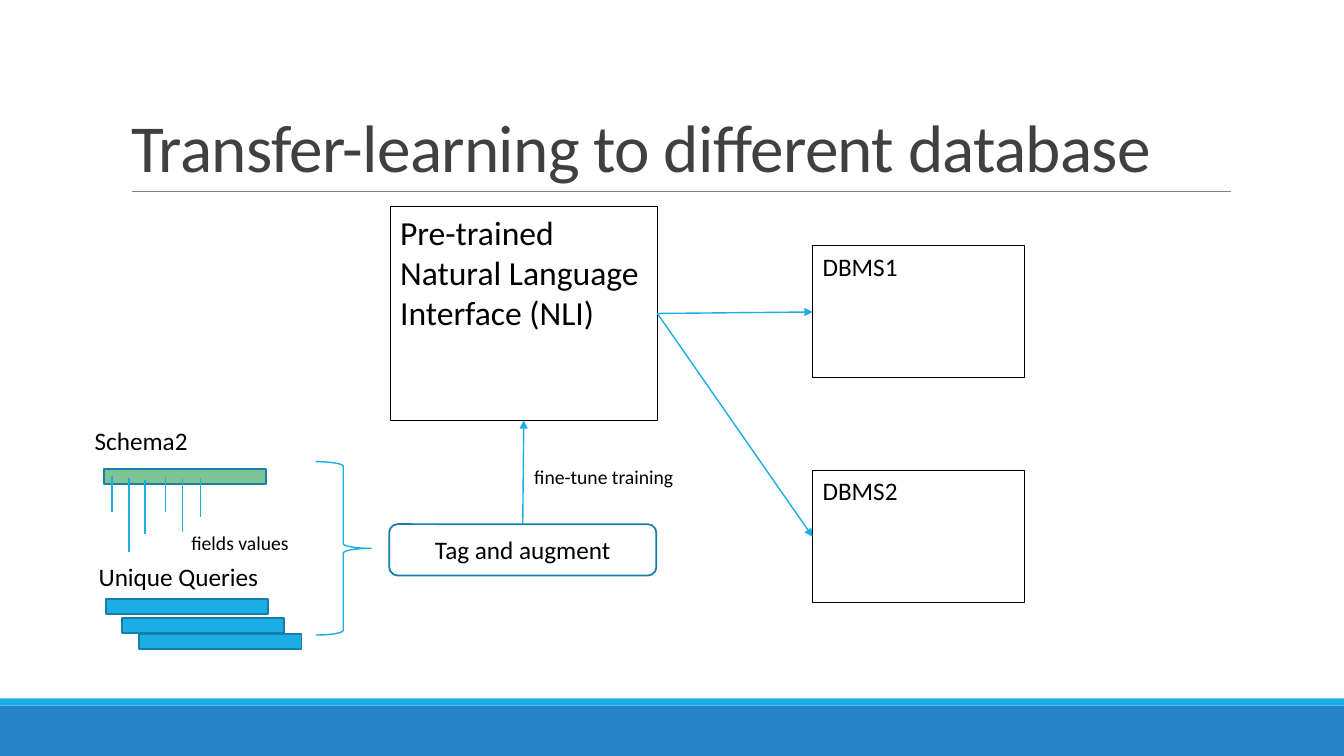
"""Build the slide about transfer-learning to a different database."""
import pptx
import pptx.dml.color
import pptx.enum.shapes
import pptx.enum.text
import pptx.oxml.ns
import pptx.util
from lxml import etree

PX = 9144
FONT = "Calibri"
BLACK, GREY, DARK_GREY = "000000", "808080", "404040"
SKY, BLUE, EDGE, GREEN = "1CADE4", "2683C6", "1580A9", "7EC492"
SHAPES = pptx.enum.shapes.MSO_SHAPE
ALIGN = pptx.enum.text.PP_ALIGN
ANCHOR = pptx.enum.text.MSO_ANCHOR


def px(*lengths):
    """Turn px lengths into a list of EMU lengths."""
    return [pptx.util.Emu(length * PX) for length in lengths]


def rgb(value):
    """Turn a hex string into a colour."""
    return pptx.dml.color.RGBColor.from_string(value)


def write(shape, text, size, color=BLACK, align=ALIGN.LEFT, anchor=ANCHOR.TOP, wrap=True):
    """Put one formatted paragraph into a shape."""
    frame = shape.text_frame
    frame.text = text
    frame.word_wrap = wrap
    frame.auto_size = pptx.enum.text.MSO_AUTO_SIZE.NONE
    frame.vertical_anchor = anchor
    paragraph = frame.paragraphs[0]
    paragraph.alignment = align
    font = paragraph.runs[0].font
    font.name, font.size = FONT, pptx.util.Pt(size)
    font.color.rgb = rgb(color)
    return paragraph


def add_title(slide, text):
    """Place and format the slide title."""
    title = slide.shapes.title
    title.left, title.top, title.width, title.height = px(120, 31, 1100, 159)
    paragraph = write(title, text, 48, DARK_GREY, anchor=ANCHOR.BOTTOM)
    paragraph.line_spacing = 0.85
    paragraph.runs[0].font._element.set("spc", "-50")


def add_box(slide, kind, box, fill=None, line=None, width=1.25):
    """Add a preset shape with an optional fill and outline."""
    shape = slide.shapes.add_shape(kind, *px(*box))
    shape.shadow.inherit = False
    if fill:
        shape.fill.solid()
        shape.fill.fore_color.rgb = rgb(fill)
    else:
        shape.fill.background()
    if line:
        shape.line.color.rgb = rgb(line)
        shape.line.width = pptx.util.Pt(width)
    else:
        shape.line.fill.background()
    return shape


def add_system(slide, box, text, size):
    """Add a thin black box with its name at the top left."""
    shape = add_box(slide, SHAPES.RECTANGLE, box, line=BLACK, width=0.75)
    write(shape, text, size)
    return shape


def add_label(slide, box, text, size, wrap=True):
    """Add a text box."""
    write(slide.shapes.add_textbox(*px(*box)), text, size, wrap=wrap)


def add_line(slide, ends, color=SKY, width=1):
    """Add a straight line without a shadow."""
    line = slide.shapes.add_connector(pptx.enum.shapes.MSO_CONNECTOR.STRAIGHT, *px(*ends))
    line.line.color.rgb = rgb(color)
    line.line.width = pptx.util.Pt(width)
    etree.SubElement(line._element.spPr, pptx.oxml.ns.qn("a:effectLst"))
    return line


def add_arrow(slide, source, source_side, target, target_side):
    """Join the sides of two shapes with an arrow."""
    arrow = add_line(slide, (0, 0, 0, 0))
    arrow.begin_connect(source, source_side)
    arrow.end_connect(target, target_side)
    etree.SubElement(arrow.line._ln, pptx.oxml.ns.qn("a:tailEnd"), type="triangle")


def main():
    """Build and save the slide."""
    presentation = pptx.Presentation()
    presentation.slide_width, presentation.slide_height = px(1333, 750)
    slide = presentation.slides.add_slide(presentation.slide_layouts[5])

    add_box(slide, SHAPES.RECTANGLE, (0, 700, 1333, 50), BLUE)
    add_box(slide, SHAPES.RECTANGLE, (0, 693, 1333, 7), SKY)
    add_line(slide, (131, 190, 1221, 190), GREY, 0.5)
    add_title(slide, "Transfer-learning to different database")

    interface = add_system(slide, (387, 205, 265, 212),
                           "Pre-trained Natural Language Interface (NLI)", 24)
    for name, top in (("DBMS1", 244), ("DBMS2", 467)):
        database = add_system(slide, (806, top, 210, 131), name, 18)
        add_arrow(slide, interface, 3, database, 1)

    add_label(slide, (84, 417, 113, 40), "Schema2", 18)
    add_box(slide, SHAPES.RECTANGLE, (103, 465, 161, 15), GREEN, EDGE)
    fields = ((111, 472, 508), (128, 474, 548), (144, 476, 530),
              (164, 473, 508), (181, 475, 528), (199, 474, 513))
    for left, top, bottom in fields:
        add_line(slide, (left, top, left, bottom))
    add_label(slide, (180, 522, 133, 34), "fields values", 14)

    add_label(slide, (88, 552, 196, 40), "Unique Queries", 18)
    for left, top in ((105, 594), (121, 613), (138, 629)):
        add_box(slide, SHAPES.RECTANGLE, (left, top, 161, 15), SKY, EDGE)

    add_box(slide, SHAPES.RIGHT_BRACE, (313, 458, 55, 172), line=SKY, width=1)
    augment = add_box(slide, SHAPES.ROUNDED_RECTANGLE, (386, 520, 265, 51), line=EDGE)
    write(augment, "Tag and augment", 18, align=ALIGN.CENTER, anchor=ANCHOR.MIDDLE)
    add_arrow(slide, augment, 0, interface, 2)
    add_label(slide, (520, 456, 160, 34), "fine-tune training", 14, wrap=False)

    presentation.save("out.pptx")


if __name__ == "__main__":
    main()
